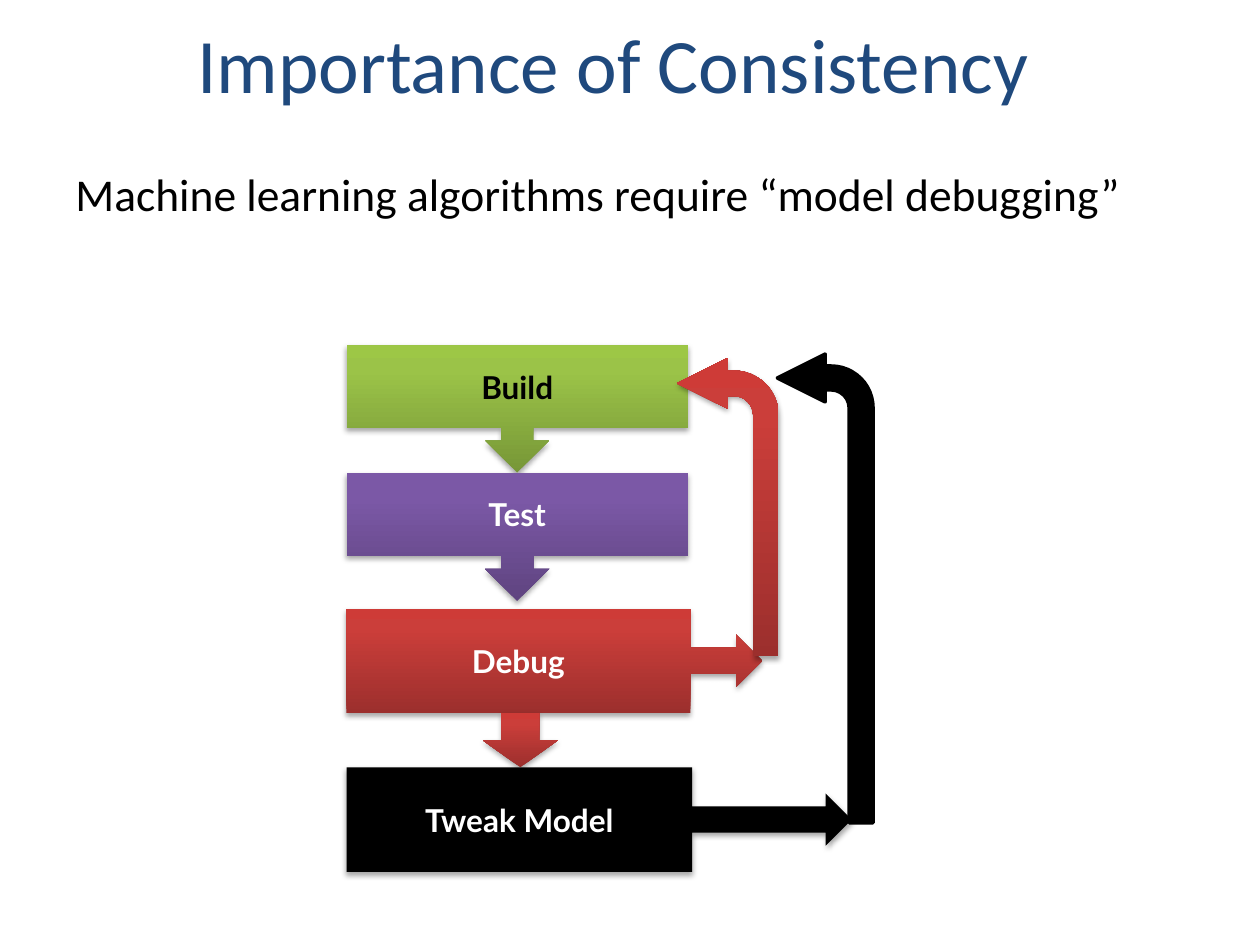
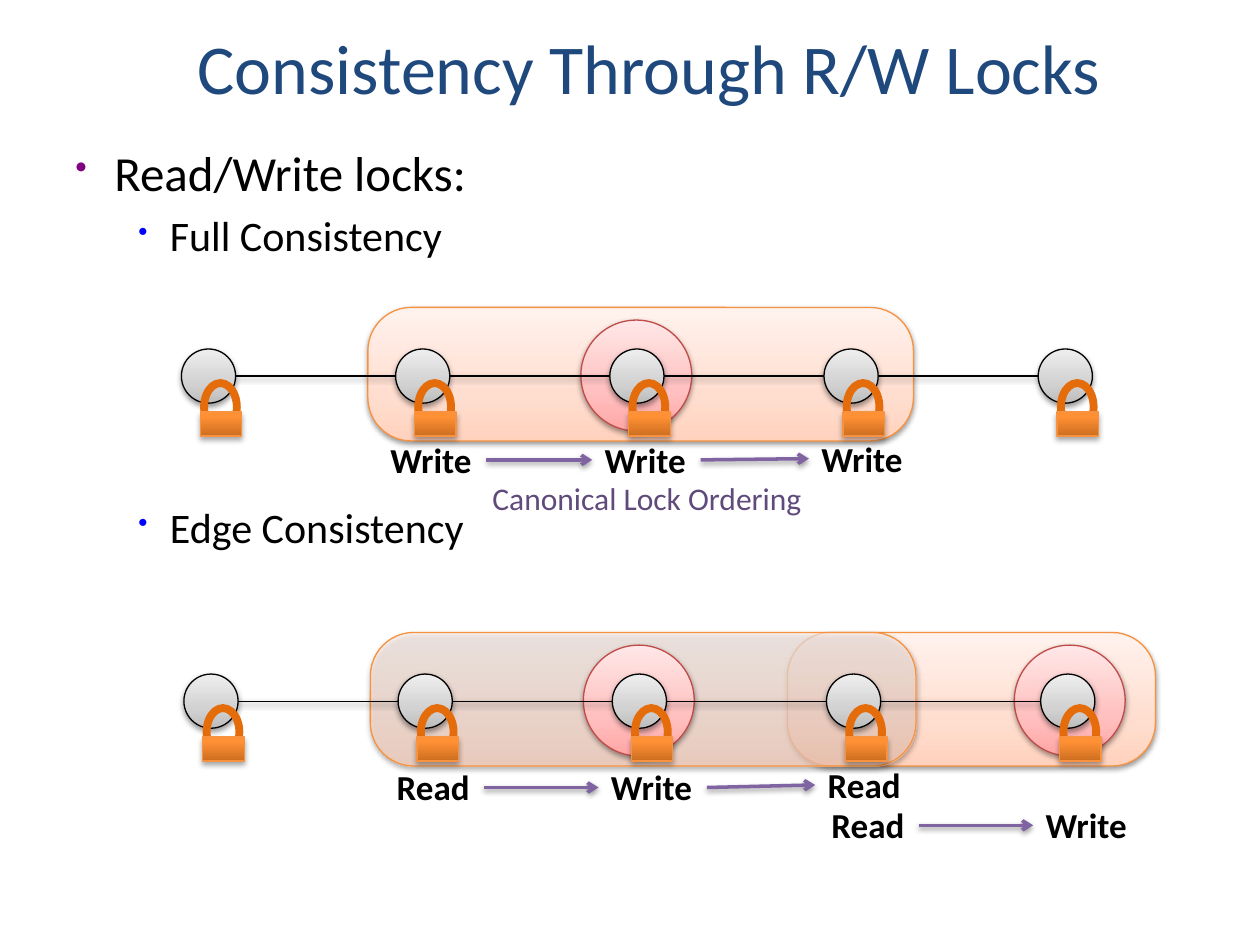
from lxml import etree
from pptx import Presentation
from pptx.dml.color import RGBColor
from pptx.enum.shapes import MSO_CONNECTOR, MSO_SHAPE
from pptx.enum.text import MSO_ANCHOR, MSO_AUTO_SIZE, PP_ALIGN
from pptx.oxml.ns import qn
from pptx.util import Inches, Pt

STRAIGHT = MSO_CONNECTOR.STRAIGHT
ELLIPSE, RECT, ROUNDED = MSO_SHAPE.OVAL, MSO_SHAPE.RECTANGLE, MSO_SHAPE.ROUNDED_RECTANGLE
DOWN_CALLOUT, RIGHT_CALLOUT = MSO_SHAPE.DOWN_ARROW_CALLOUT, MSO_SHAPE.RIGHT_ARROW_CALLOUT
DOWN_ARROW, BENT_ARROW = MSO_SHAPE.DOWN_ARROW, MSO_SHAPE.BENT_ARROW
BOTTOM, MIDDLE = MSO_ANCHOR.BOTTOM, MSO_ANCHOR.MIDDLE
CENTER = PP_ALIGN.CENTER
GROW = MSO_AUTO_SIZE.SHAPE_TO_FIT_TEXT
LEFT_SIDE, RIGHT_SIDE = 1, 3

BLACK, WHITE, NAVY = "000000", "FFFFFF", "1F497D"
ORANGE, SHACKLE, RING_EDGE = "F69240", "E46C0A", "BF4C48"
ORDER_ARROW, ORDER_TEXT = "8064A2", "604A7B"

# Gradients run from bottom to top: (position in percent, colour)
GREEN = [(0, "779737"), (80, "9BC348"), (100, "9DC746")]
PURPLE = [(0, "5F4480"), (80, "7B58A6"), (100, "7C57A8")]
RED = [(0, "9C2F2D"), (80, "CB3E3A"), (100, "CE3B37")]
PEACH = [(0, "FFD2BD"), (35, "FFDED0"), (100, "FFF2ED")]
PINK = [(0, "FFA6A5"), (35, "FFC0BF"), (100, "FFE7E7")]
GREY = [(0, "BDBDBD"), (35, "D1D1D1"), (100, "EEEEEE")]
LOCK = [(0, "CC6E20"), (80, "FF9034"), (100, "FF9136")]

# Shadows: (opacity in percent, blur, distance)
STRONG, SOFT = (35, 3.15, 1.8), (38, 3.15, 1.6)

NODE, NODE_COUNT, NODE_PITCH = 0.43, 5, 1.7
RING = 0.88


def rgb(color):
    return RGBColor.from_string(color)


def add_color(parent, color, opacity=100):
    element = etree.SubElement(parent, qn("a:srgbClr"), val=color)
    if opacity < 100:
        etree.SubElement(element, qn("a:alpha"), val=str(opacity * 1000))


def add_shadow(properties, shadow):
    """Fill the effect list, or leave it empty for no shadow."""
    effects = properties.find(qn("a:effectLst"))
    if effects is None:
        effects = etree.SubElement(properties, qn("a:effectLst"))
    if shadow:
        opacity, blur, distance = shadow
        outer = etree.SubElement(effects, qn("a:outerShdw"), blurRad=str(Pt(blur)),
                                 dist=str(Pt(distance)), dir="5400000", rotWithShape="0")
        add_color(outer, BLACK, opacity)


class Deck:
    font = "Calibri"
    diagram_font = "Lato"

    def __init__(self):
        self.presentation = Presentation()
        self.presentation.slide_width = Inches(10)
        self.presentation.slide_height = Inches(7.5)
        self.slide = None

    def new_slide(self, title, size):
        self.slide = self.presentation.slides.add_slide(self.presentation.slide_layouts[6])
        heading = self.text(title, 1.47, 0.08, 8.2, 0.83, size, NAVY)
        heading.text_frame.vertical_anchor = BOTTOM

    def format_run(self, paragraph, size, color, bold=False, font=None):
        for run in paragraph.runs:
            run.font.name = font or self.font
            run.font.size = Pt(size)
            run.font.bold = bold
            run.font.color.rgb = rgb(color)

    def text(self, words, x, y, width, height, size, color=BLACK, bold=False, wrap=True):
        box = self.slide.shapes.add_textbox(Inches(x), Inches(y), Inches(width), Inches(height))
        frame = box.text_frame
        frame.word_wrap = wrap
        if not wrap:
            frame.auto_size = GROW
        frame.text = words
        self.format_run(frame.paragraphs[0], size, color, bold)
        return box

    def bullets(self, items, x, y, width, height):
        """Items are (words, size, left margin, hanging, bullet colour, bullet percent, space)."""
        frame = self.text("", x, y, width, height, 24).text_frame
        for index, (words, size, margin, hanging, color, percent, space) in enumerate(items):
            paragraph = frame.add_paragraph() if index else frame.paragraphs[0]
            paragraph.text = words
            properties = paragraph._p.get_or_add_pPr()
            properties.set("marL", str(Inches(margin)))
            properties.set("indent", str(-Inches(hanging)))
            add_color(etree.SubElement(properties, qn("a:buClr")), color)
            etree.SubElement(properties, qn("a:buSzPct"), val=str(percent * 1000))
            etree.SubElement(properties, qn("a:buChar"), char="•")
            paragraph.space_before = Pt(space)
            self.format_run(paragraph, size, BLACK)

    def shape(self, kind, x, y, width, height, fill=None, line=None, line_width=0.75,
              shadow=None, adjustments=(), opacity=100, flip=False):
        """Draw a preset; fill is a colour, a list of gradient stops or None."""
        shape = self.slide.shapes.add_shape(
            kind, Inches(x), Inches(y), Inches(width), Inches(height))
        for index, value in enumerate(adjustments):
            shape.adjustments[index] = value
        properties = shape._element.spPr
        if flip:
            properties.find(qn("a:xfrm")).set("flipH", "1")
        if fill is None:
            shape.fill.background()
        elif isinstance(fill, str):
            shape.fill.solid()
            shape.fill.fore_color.rgb = rgb(fill)
        else:
            shape.fill.gradient()
            shape.fill.gradient_angle = 90
            stops = properties.find(".//" + qn("a:gsLst"))
            for stop in list(stops):
                stops.remove(stop)
            for position, color in fill:
                stop = etree.SubElement(stops, qn("a:gs"), pos=str(position * 1000))
                add_color(stop, color, opacity)
        if line:
            shape.line.color.rgb = rgb(line)
            shape.line.width = Pt(line_width)
        else:
            shape.line.fill.background()
        shape.shadow.inherit = False
        add_shadow(properties, shadow)
        return shape

    def step(self, words, kind, x, y, width, height, fill, color=WHITE, adjustments=()):
        callout = self.shape(kind, x, y, width, height, fill, shadow=STRONG,
                             adjustments=adjustments)
        frame = callout.text_frame
        frame.word_wrap = False
        frame.vertical_anchor = MIDDLE
        frame.text = words
        frame.paragraphs[0].alignment = CENTER
        self.format_run(frame.paragraphs[0], 18, color, True, self.diagram_font)

    def line(self, x1, y1, x2, y2, color=BLACK, width=0.75, arrow=False):
        connector = self.slide.shapes.add_connector(
            STRAIGHT, Inches(x1), Inches(y1), Inches(x2), Inches(y2))
        connector.line.color.rgb = rgb(color)
        connector.line.width = Pt(width)
        if arrow:
            etree.SubElement(connector.line._get_or_add_ln(), qn("a:tailEnd"), type="arrow")
        add_shadow(connector._element.spPr, SOFT)
        return connector

    def lock_sequence(self, locks):
        """Label each (words, x, y) and join neighbours with arrows."""
        labels = [self.text(words, x, y, 0.79 if words == "Read" else 0.86, 0.44, 20,
                            bold=True, wrap=False) for words, x, y in locks]
        for before, after in zip(labels, labels[1:]):
            arrow = self.line(0, 0, 1, 1, ORDER_ARROW, 2, arrow=True)
            arrow.begin_connect(before, RIGHT_SIDE)
            arrow.end_connect(after, LEFT_SIDE)

    def scope(self, x, y, width, opacity=100):
        self.shape(ROUNDED, x, y, width, 1.06, PEACH, ORANGE, shadow=SOFT,
                   adjustments=[0.325], opacity=opacity)

    def ring(self, x, y):
        self.shape(ELLIPSE, x, y, RING, RING, PINK, RING_EDGE, shadow=SOFT)

    def locked_chain(self, left, top):
        middle = top + NODE / 2
        self.line(left + NODE, middle, left + NODE_PITCH * (NODE_COUNT - 1), middle)
        for index in range(NODE_COUNT):
            x = left + index * NODE_PITCH
            self.shape(ELLIPSE, x, top, NODE, NODE, GREY, BLACK, shadow=SOFT)
            self.shape(ELLIPSE, x + 0.18, top + 0.27, 0.26, 0.38, line=SHACKLE, line_width=4.5)
            self.shape(RECT, x + 0.15, top + 0.5, 0.33, 0.19, LOCK, ORANGE, shadow=STRONG)


def build_importance(deck):
    deck.new_slide("Importance of Consistency", 44)
    deck.text("Machine learning algorithms require “model debugging”", 0.5, 1.27, 9.08, 0.54, 26)
    bend = [0.25, 0.25, 0.5, 0.438]
    deck.step("Build", DOWN_CALLOUT, 2.75, 2.74, 2.71, 1.01, GREEN, BLACK)
    deck.step("Test", DOWN_CALLOUT, 2.75, 3.75, 2.71, 1.02, PURPLE)
    deck.step("Debug", RIGHT_CALLOUT, 2.75, 4.83, 3.3, 0.83, RED,
              adjustments=[0.25, 0.25, 0.25, 0.827])
    deck.shape(BENT_ARROW, 5.37, 2.84, 0.81, 2.37, RED, shadow=STRONG,
               adjustments=bend, flip=True)
    deck.shape(DOWN_ARROW, 3.83, 5.66, 0.6, 0.43, RED, shadow=STRONG)
    deck.step("Tweak Model", RIGHT_CALLOUT, 2.75, 6.09, 4.01, 0.83, BLACK,
              adjustments=[0.25, 0.25, 0.25, 0.684])
    deck.shape(BENT_ARROW, 6.17, 2.81, 0.76, 3.72, BLACK, BLACK, 2,
               adjustments=bend, flip=True)


def build_locks(deck):
    deck.new_slide("Consistency Through R/W Locks", 40)
    deck.scope(6.25, 5.02, 2.92)
    deck.ring(8.05, 5.12)
    deck.scope(2.92, 2.44, 4.33)
    deck.ring(4.61, 2.54)
    deck.bullets([
        ("Read/Write locks:", 28, 0.31, 0.31, "800080", 70, 0),
        ("Full Consistency", 24, 0.75, 0.25, "0000FF", 65, 4.8),
        ("Edge Consistency", 24, 0.75, 0.25, "0000FF", 65, 138),
    ], 0.5, 1.08, 9.08, 3.67)
    deck.locked_chain(1.44, 2.77)
    deck.scope(2.94, 5.02, 4.33, opacity=68)
    deck.ring(4.63, 5.12)
    deck.locked_chain(1.46, 5.35)

    deck.lock_sequence([("Write", 3, 3.43), ("Write", 4.7, 3.43), ("Write", 6.42, 3.42)])
    deck.text("Canonical Lock Ordering", 3.81, 3.75, 2.69, 0.4, 18, ORDER_TEXT, wrap=False)
    deck.lock_sequence([("Read", 3.05, 6.03), ("Write", 4.75, 6.03), ("Read", 6.47, 6.01)])
    deck.lock_sequence([("Read", 6.5, 6.33), ("Write", 8.2, 6.33)])


def main():
    deck = Deck()
    build_importance(deck)
    build_locks(deck)
    deck.presentation.save("out.pptx")


if __name__ == "__main__":
    main()
